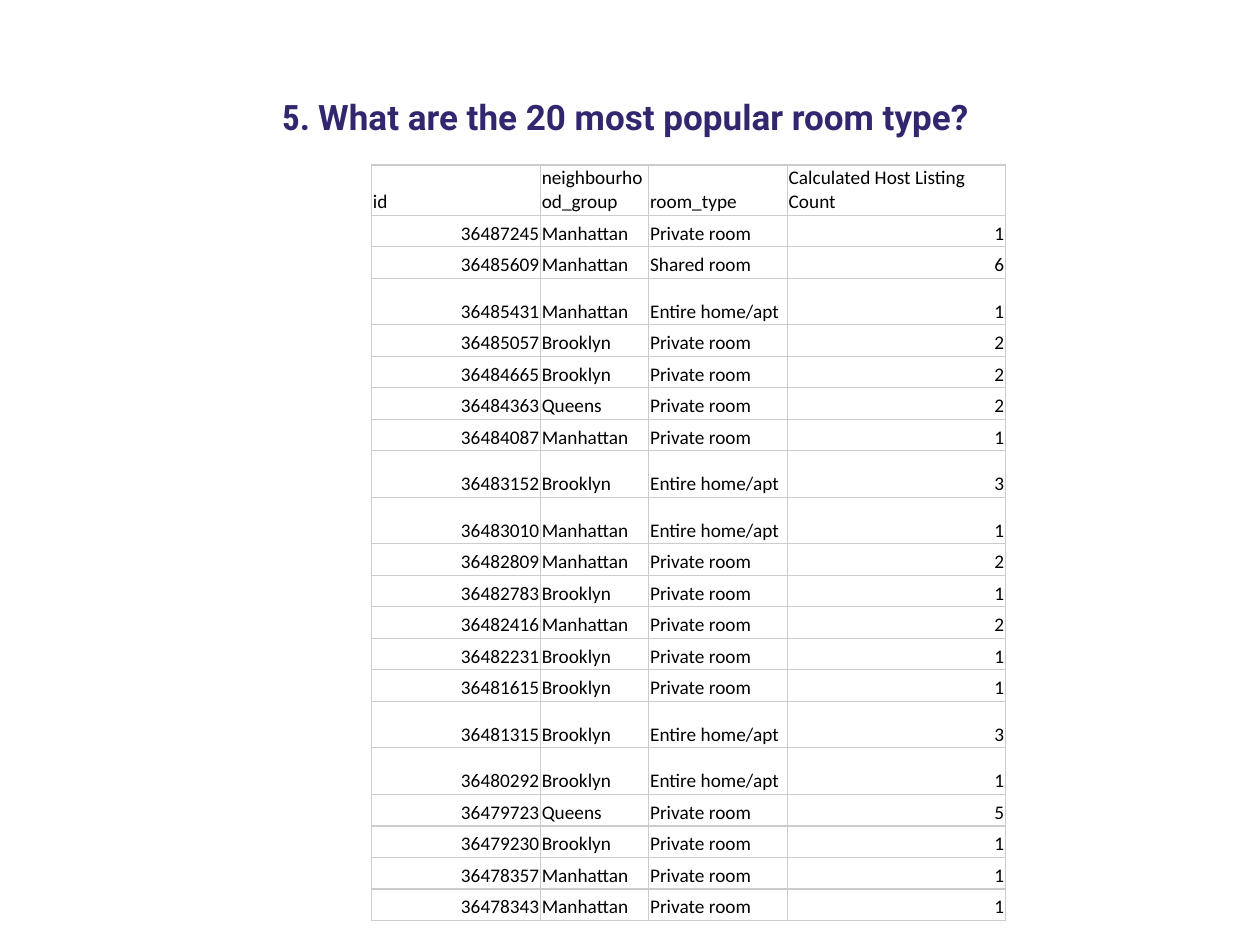
from lxml import etree
from pptx import Presentation
from pptx.dml.color import RGBColor
from pptx.enum import text
from pptx.oxml import ns
from pptx.util import Inches, Pt

PURPLE = RGBColor(0x32, 0x26, 0x6F)
BLACK = RGBColor(0, 0, 0)
GRID = RGBColor(0xCC, 0xCC, 0xCC)

HEADERS = ("id", "neighbourhood_group", "room_type", "Calculated Host Listing Count")
PRIVATE, SHARED, ENTIRE = "Private room", "Shared room", "Entire home/apt"
LISTINGS = [
    (36487245, "Manhattan", PRIVATE, 1),
    (36485609, "Manhattan", SHARED, 6),
    (36485431, "Manhattan", ENTIRE, 1),
    (36485057, "Brooklyn", PRIVATE, 2),
    (36484665, "Brooklyn", PRIVATE, 2),
    (36484363, "Queens", PRIVATE, 2),
    (36484087, "Manhattan", PRIVATE, 1),
    (36483152, "Brooklyn", ENTIRE, 3),
    (36483010, "Manhattan", ENTIRE, 1),
    (36482809, "Manhattan", PRIVATE, 2),
    (36482783, "Brooklyn", PRIVATE, 1),
    (36482416, "Manhattan", PRIVATE, 2),
    (36482231, "Brooklyn", PRIVATE, 1),
    (36481615, "Brooklyn", PRIVATE, 1),
    (36481315, "Brooklyn", ENTIRE, 3),
    (36480292, "Brooklyn", ENTIRE, 1),
    (36479723, "Queens", PRIVATE, 5),
    (36479230, "Brooklyn", PRIVATE, 1),
    (36478357, "Manhattan", PRIVATE, 1),
    (36478343, "Manhattan", PRIVATE, 1),
]
COLUMN_WIDTHS = (1.34, 0.86, 1.1, 1.73)
ROW_HEIGHT, TALL_ROW_HEIGHT = 0.25, 0.37


def add_title(slide, left, top, width, height):
    title = slide.shapes.title
    title.left, title.top, title.width, title.height = left, top, width, height
    frame = title.text_frame
    frame.word_wrap = True
    frame.auto_size = text.MSO_AUTO_SIZE.NONE
    frame.vertical_anchor = text.MSO_ANCHOR.MIDDLE
    heading = frame.paragraphs[0]
    heading.alignment = text.PP_ALIGN.CENTER
    for wording, font_name in (
        ("5. ", "Roboto Condensed"),
        ("What are the 20 most popular room type? ", "Roboto"),
    ):
        run = heading.add_run()
        run.text = wording
        run.font.name = font_name
        run.font.size = Pt(20)
        run.font.bold = True
        run.font.color.rgb = PURPLE


def set_borders(cell):
    properties = cell._tc.get_or_add_tcPr()
    for position, side in enumerate(("lnL", "lnR", "lnT", "lnB")):
        line = etree.Element(ns.qn(f"a:{side}"), w=str(Pt(0.75)))
        fill = etree.SubElement(line, ns.qn("a:solidFill"))
        etree.SubElement(fill, ns.qn("a:srgbClr"), val=str(GRID))
        properties.insert(position, line)


def fill_cell(cell, value):
    cell.fill.background()
    set_borders(cell)
    cell.vertical_anchor = text.MSO_ANCHOR.BOTTOM
    cell.margin_left = cell.margin_right = Inches(0.01)
    cell.margin_top = cell.margin_bottom = Inches(0.01)
    entry = cell.text_frame.paragraphs[0]
    entry.text = str(value)
    is_number = isinstance(value, int)
    entry.alignment = text.PP_ALIGN.RIGHT if is_number else text.PP_ALIGN.LEFT
    font = entry.runs[0].font
    font.name = "Calibri"
    font.size = Pt(11)
    font.bold = False
    font.color.rgb = BLACK


def add_listings(slide, left, top, width, height):
    records = [HEADERS, *LISTINGS]
    listings = slide.shapes.add_table(
        len(records), len(HEADERS), left, top, width, height
    ).table
    listings.first_row = False
    listings.horz_banding = False
    for column, column_width in zip(listings.columns, COLUMN_WIDTHS):
        column.width = Inches(column_width)
    for row, record in zip(listings.rows, records):
        row.height = Inches(TALL_ROW_HEIGHT if ENTIRE in record else ROW_HEIGHT)
        for cell, value in zip(row.cells, record):
            fill_cell(cell, value)


def main():
    deck = Presentation()
    deck.slide_width, deck.slide_height = Inches(10), Inches(7.5)
    slide = deck.slides.add_slide(deck.slide_layouts[5])
    add_title(slide, Inches(0.5), Inches(0.3), Inches(9), Inches(1.25))
    add_listings(slide, Inches(2.95), Inches(1.31), Inches(5.04), Inches(5.96))
    deck.save("out.pptx")


if __name__ == "__main__":
    main()
